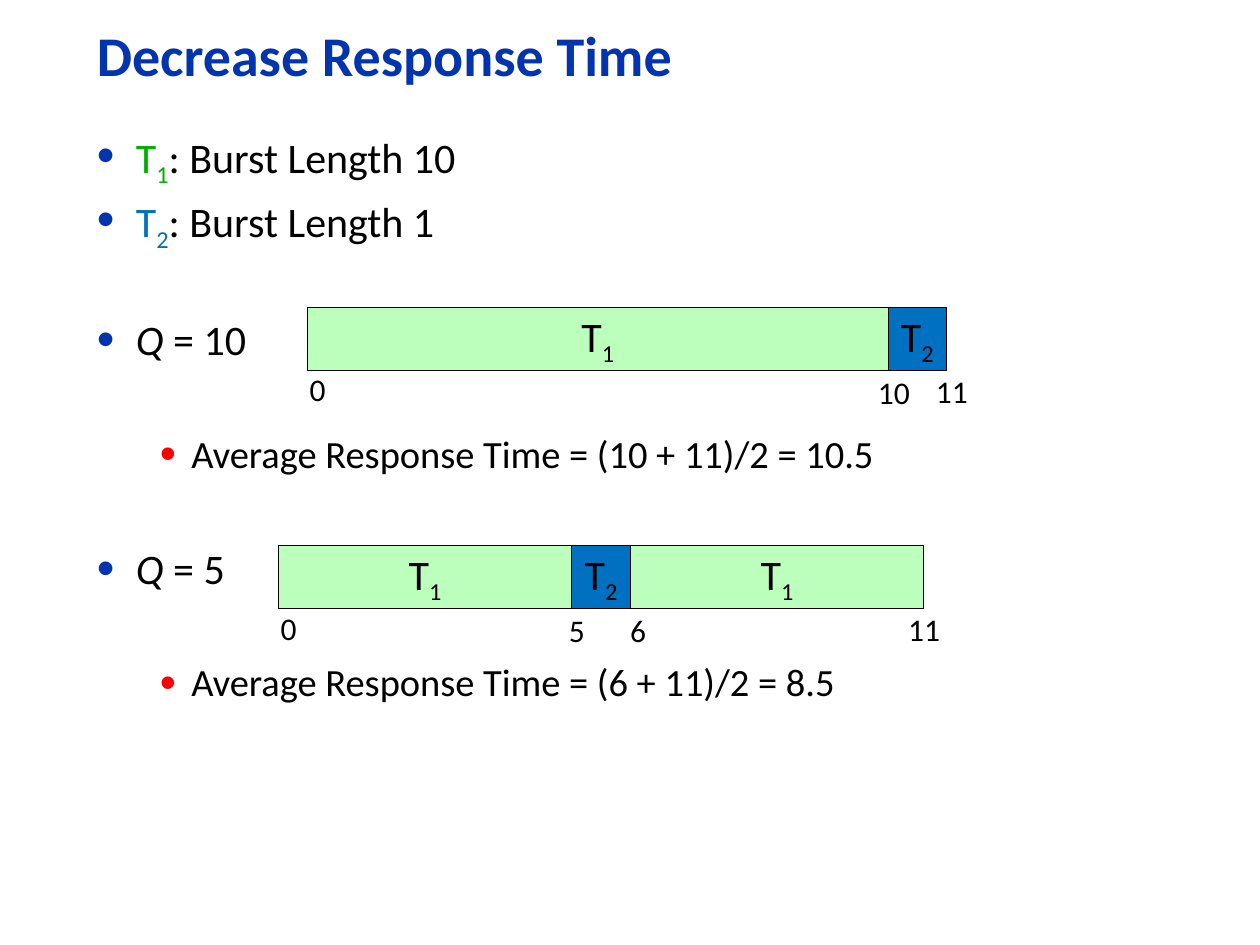
from lxml import etree
from pptx import Presentation
from pptx.dml.color import RGBColor
from pptx.enum import shapes, text
from pptx.oxml import ns
from pptx import util as u

NAVY = RGBColor(0x02, 0x34, 0xAD)
RED = RGBColor(0xFF, 0x00, 0x00)
GREEN = RGBColor(0x00, 0xAE, 0x00)
MINT = RGBColor(0xBC, 0xFF, 0xBC)
BLUE = RGBColor(0x00, 0x70, 0xC0)
BLACK = RGBColor(0x00, 0x00, 0x00)

COLUMNS, ROWS = 100, 75
BAR_HEIGHT = 5


class Slide:
    """Draw titles, bullets and timelines in one style on a 100 by 75 grid."""

    font = "Calibri"

    def __init__(self, deck):
        self.page = deck.slides.add_slide(deck.slide_layouts[6])
        self.column = deck.slide_width / COLUMNS
        self.row = deck.slide_height / ROWS

    def place(self, left, top, width, height):
        return (round(left * self.column), round(top * self.row),
                round(width * self.column), round(height * self.row))

    def textbox(self, *area, wrap=True, anchor=text.MSO_ANCHOR.MIDDLE):
        frame = self.page.shapes.add_textbox(*self.place(*area)).text_frame
        frame.word_wrap = wrap
        frame.vertical_anchor = anchor
        return frame

    def fill_text(self, para, spans, size, color=BLACK, bold=False):
        para.font.name = self.font
        para.font.size = u.Pt(size)
        para.font.bold = bold
        para.font.color.rgb = color
        for words, look in spans:
            span = para.add_run()
            span.text = words
            span.font.name = self.font
            span.font.size = u.Pt(size)
            span.font.bold = bold
            span.font.color.rgb = look.get("color", color)
            if look.get("italic"):
                span.font.italic = True
            if look.get("low"):
                span.font._element.set("baseline", "-25000")

    def title(self, words, *area):
        para = self.textbox(*area).paragraphs[0]
        para.line_spacing = 0.9
        self.fill_text(para, [(words, {})], 32, NAVY, bold=True)

    def bullets(self, items, *area):
        frame = self.textbox(*area, anchor=text.MSO_ANCHOR.TOP)
        for index, (level, before, spans) in enumerate(items):
            para = frame.add_paragraph() if index else frame.paragraphs[0]
            para.level = level
            para.line_spacing = 0.9
            para.space_before = u.Pt(before)
            self.fill_text(para, spans, 22 if level else 24)
            self.bullet(para, level)

    def bullet(self, para, level):
        margin, hang, color = [(0.31, 0.31, NAVY), (0.75, 0.25, RED)][level]
        props = para._p.get_or_add_pPr()
        props.set("marL", str(u.Inches(margin)))
        props.set("indent", str(-u.Inches(hang)))
        marks = [etree.Element(ns.qn(f"a:{tag}"))
                 for tag in ("buClr", "buSzPct", "buFont", "buChar")]
        etree.SubElement(marks[0], ns.qn("a:srgbClr")).set("val", str(color))
        marks[1].set("val", "120000")
        marks[2].set("typeface", "Arial")
        marks[3].set("char", "•")
        defaults = props.find(ns.qn("a:defRPr"))
        for mark in marks:
            defaults.addprevious(mark)

    def block(self, spans, fill, *area):
        box = self.page.shapes.add_shape(
            shapes.MSO_SHAPE.RECTANGLE, *self.place(*area))
        box.shadow.inherit = False
        box.fill.solid()
        box.fill.fore_color.rgb = fill
        box.line.color.rgb = BLACK
        box.line.width = u.Pt(0.75)
        frame = box.text_frame
        frame.word_wrap = False
        frame.vertical_anchor = text.MSO_ANCHOR.MIDDLE
        frame.paragraphs[0].alignment = text.PP_ALIGN.CENTER
        self.fill_text(frame.paragraphs[0], spans, 24)

    def timeline(self, left, top, width, tasks, ticks):
        unit = width / sum(length for _, length in tasks)
        start = 0
        for number, length in tasks:
            self.block(task(number), MINT if number == 1 else BLUE,
                       left + start * unit, top, length * unit, BAR_HEIGHT)
            start += length
        for time, shift, drop in ticks:
            label = str(time)
            frame = self.textbox(left + time * unit - shift, top + drop,
                                 2.1 + 1.2 * len(label), 4, wrap=False)
            self.fill_text(frame.paragraphs[0], [(label, {})], 18)


def task(number, color=BLACK):
    return [("T", {"color": color}),
            (str(number), {"color": color, "low": True})]


def quantum(value):
    return [("Q", {"italic": True}), (f" = {value}", {})]


def average(first, second):
    mean = (first + second) / 2
    return [(f"Average Response Time = ({first} + {second})/2 = {mean}", {})]


def main():
    deck = Presentation()
    deck.slide_width, deck.slide_height = u.Inches(10), u.Inches(7.5)
    slide = Slide(deck)
    slide.title("Decrease Response Time", 6.7, 1.7, 78.3, 5.8)
    slide.bullets([
        (0, 7.2, task(1, GREEN) + [(": Burst Length 10", {})]),
        (0, 7.2, task(2, BLUE) + [(": Burst Length 1", {})]),
        (0, 40.8, quantum(10)),
        (1, 40.2, average(10, 11)),
        (0, 40.8, quantum(5)),
        (1, 40.2, average(6, 11)),
    ], 6.7, 10, 86.7, 55.8)
    slide.timeline(24.4, 24.4, 50.7, [(1, 10), (2, 1)],
                   [(0, 0.8, 4.5), (10, 1.8, 4.7), (11, 1.8, 4.6)])
    slide.timeline(22.1, 43.3, 51.2, [(1, 5), (2, 1), (1, 5)],
                   [(0, 0.8, 4.5), (5, 1.2, 4.7), (6, 1, 4.7), (11, 2.2, 4.6)])
    deck.save("out.pptx")


if __name__ == "__main__":
    main()
